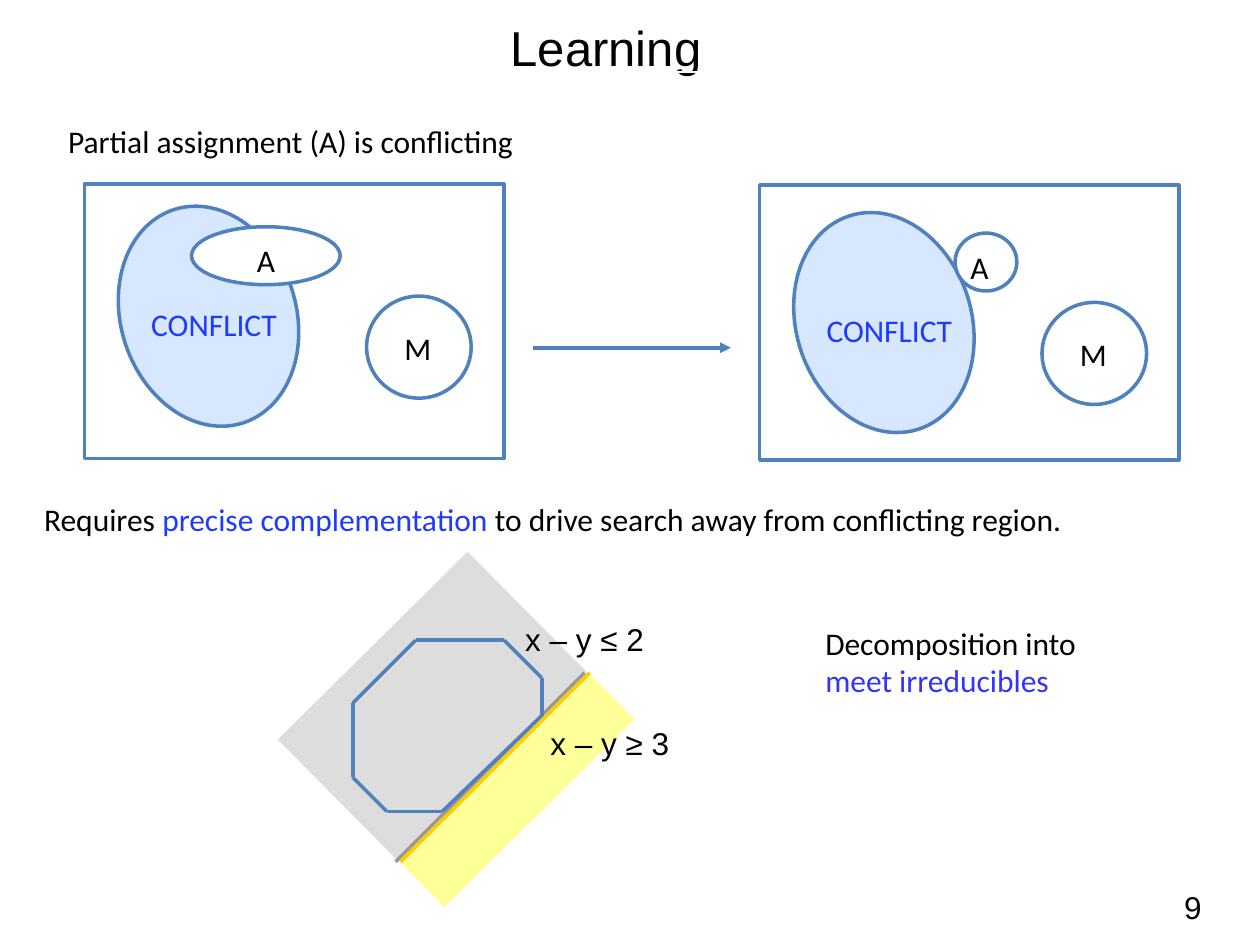
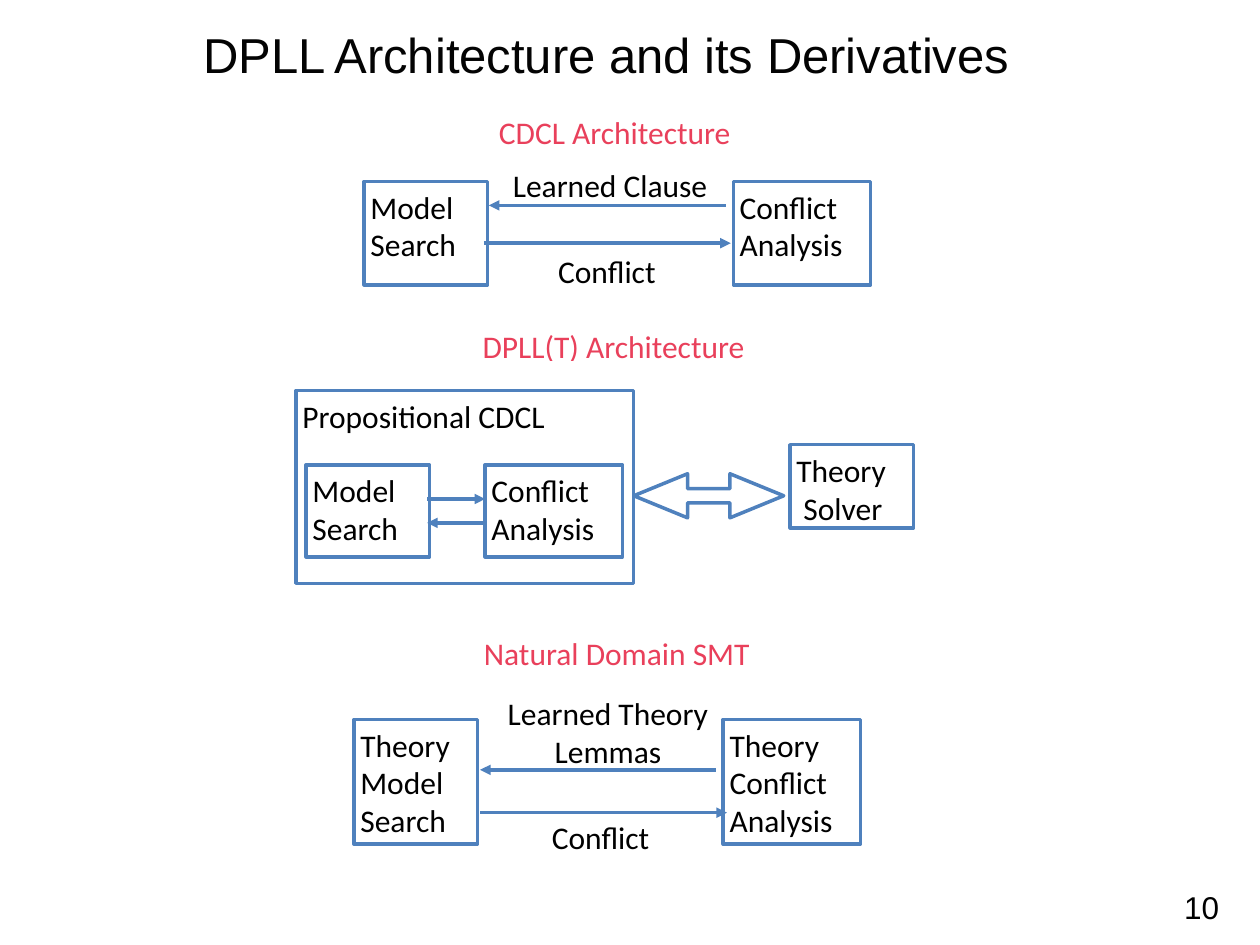
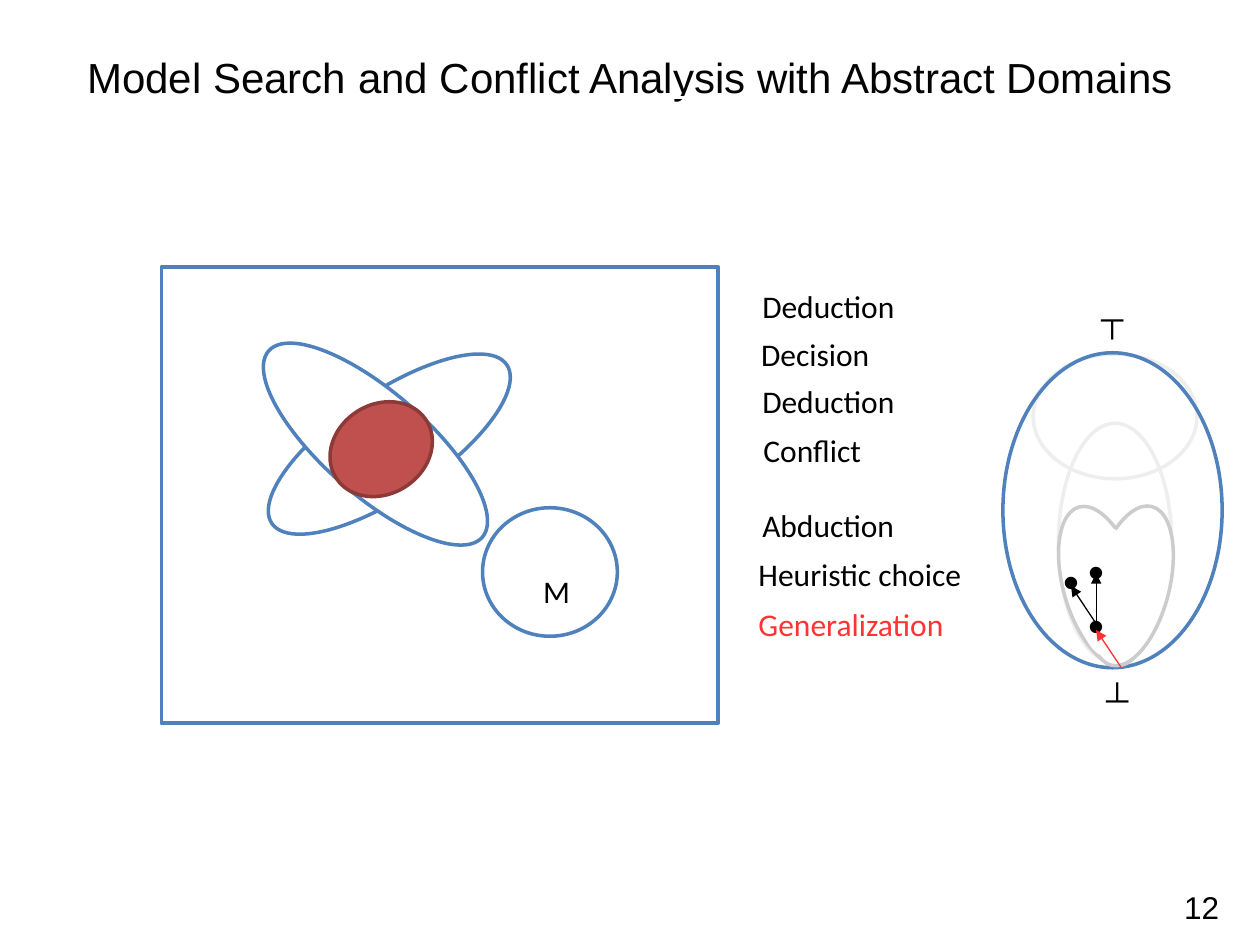
from itertools import pairwise

from lxml import etree
from pptx import Presentation
from pptx.dml.color import RGBColor
from pptx.enum.shapes import MSO_CONNECTOR as Line, MSO_SHAPE as Preset
from pptx.enum.text import MSO_ANCHOR as Anchor, MSO_AUTO_SIZE as AutoSize, PP_ALIGN as Align
from pptx.oxml.ns import qn
from pptx.util import Inches, Pt

BLUE, WHITE, BLACK = "4F81BD", "FFFFFF", "000000"
ACCENT, PALE_BLUE, ROSE, RED = "1D3AFF", "D6E7FF", "E9405B", "FF3333"
PALE_GREY, GREY = "EEEEEE", "CCCCCC"
TITLE_COLOR = "030303"
BODY_FONT, PLAIN_FONT = "Calibri", "Arial"


def rgb(color):
    return RGBColor.from_string(color)


class Deck:
    """Holds the shared style and the slide being drawn."""

    def __init__(self):
        self.deck = Presentation()
        self.deck.slide_width, self.deck.slide_height = Inches(10), Inches(7.5)
        self.page = None

    def new_page(self, title, number, left, top, size=28):
        self.page = self.deck.slides.add_slide(self.deck.slide_layouts[5])
        box = self.page.shapes.title
        box.left, box.top = Inches(left), Inches(top)
        box.width, box.height = Inches(9), Inches(0.85)
        self.fill_text(box.text_frame, [title], size=size, font=PLAIN_FONT, color=TITLE_COLOR,
                       align=Align.CENTER, anchor=Anchor.MIDDLE, underline=True)
        self.symbol(str(number), 9.3, 7, 0.5)

    def fill_text(self, frame, lines, size=18, font=BODY_FONT, color=BLACK, align=Align.LEFT,
                  anchor=Anchor.TOP, side=0.05, wrap=True, underline=False):
        """Each line is a string or a list of (text, color) spans."""
        frame.auto_size = AutoSize.NONE
        frame.word_wrap = wrap
        frame.vertical_anchor = anchor
        frame.margin_left = frame.margin_right = Inches(side)
        frame.margin_top = frame.margin_bottom = Inches(0.05)
        for index, line in enumerate(lines):
            para = frame.add_paragraph() if index else frame.paragraphs[0]
            para.alignment = align
            spans = [(line, color)] if isinstance(line, str) else line
            for text, span_color in spans:
                span = para.add_run()
                span.text = text
                span.font.size = Pt(size)
                span.font.name = font
                span.font.color.rgb = rgb(span_color)
                if underline:
                    self.underline(span)

    def underline(self, span):
        """Underline in the page colour."""
        span.font.underline = True
        properties = span.font._element
        fill = etree.Element(qn("a:uFill"))
        solid = etree.SubElement(fill, qn("a:solidFill"))
        etree.SubElement(solid, qn("a:srgbClr"), val=WHITE)
        properties.find(qn("a:latin")).addprevious(fill)

    def text(self, lines, left, top, width, height=0.4, wrap=False, **style):
        box = self.page.shapes.add_textbox(*map(Inches, (left, top, width, height)))
        self.fill_text(box.text_frame, lines, wrap=wrap, **style)

    def symbol(self, text, left, top, width, height=0.38, size=18):
        self.text([text], left, top, width, height, wrap=True, size=size,
                  font=PLAIN_FONT, side=0.1)

    def shape(self, preset, left, top, width, height, fill=WHITE, line=BLUE, rotation=0,
              lines=(), align=Align.LEFT):
        shape = self.page.shapes.add_shape(preset, *map(Inches, (left, top, width, height)))
        shape.shadow.inherit = False
        shape.rotation = rotation
        if fill:
            shape.fill.solid()
            shape.fill.fore_color.rgb = rgb(fill)
        else:
            shape.fill.background()
        if line:
            shape.line.color.rgb = rgb(line)
            shape.line.width = Pt(2)
        else:
            shape.line.fill.background()
        if lines:
            self.fill_text(shape.text_frame, lines, align=align)
        return shape

    def box(self, *place, **style):
        return self.shape(Preset.RECTANGLE, *place, **style)

    def ellipse(self, *place, **style):
        return self.shape(Preset.OVAL, *place, **style)

    def line(self, start, end, color=BLUE, width=2, arrow=False):
        line = self.page.shapes.add_connector(Line.STRAIGHT, *map(Inches, (*start, *end)))
        line.line.color.rgb = rgb(color)
        line.line.width = Pt(width)
        properties = line._element.spPr
        if arrow:
            etree.SubElement(properties.find(qn("a:ln")), qn("a:tailEnd"), type="triangle")
        etree.SubElement(properties, qn("a:effectLst"))

    def arrow(self, start, end, **style):
        self.line(start, end, arrow=True, **style)


def draw_state(deck, left, top, frame_top, a_width, a_left, a_align):
    """Conflict region, assignment A and model M inside a frame."""
    deck.ellipse(left + 0.29, top, 1.39, 1.78, fill=PALE_BLUE, rotation=342)
    deck.text(["CONFLICT"], left + 0.48, top + 0.75, 1.09, color=ACCENT)
    deck.ellipse(left + a_left, top + 0.18, a_width, 0.46, lines=["A"], align=a_align)
    deck.ellipse(left + 2.24, top + 0.73, 0.83, 0.81)
    deck.text(["M"], left + 2.49, top + 0.94, 0.31)
    deck.box(left, frame_top, 3.33, 2.18, fill=None)


def draw_learning(deck):
    deck.new_page("Learning", 9, 0.31, -0.05)

    # Half-planes and their borders
    deck.box(3.04, 6.01, 2.12, 0.52, fill="FFFF99", line=None, rotation=315.3)
    deck.box(2.37, 4.93, 2.12, 1.34, fill="DDDDDD", line=None, rotation=315.3)
    deck.line((3.14, 6.84), (4.64, 5.34), color="999999")

    # Before and after learning
    deck.text(["Partial assignment (A) is conflicting"], 0.49, 0.92, 3.7)
    draw_state(deck, 0.67, 1.62, 1.46, 1.18, 0.85, Align.CENTER)
    deck.arrow((4.23, 2.76), (5.8, 2.76))
    draw_state(deck, 6.03, 1.67, 1.47, 0.49, 1.55, Align.LEFT)
    deck.text([[("Requires ", BLACK), ("precise complementation", ACCENT),
                (" to drive search away from conflicting region.", BLACK)]],
              0.3, 3.92, 9.4, 0.7)

    # Octagon
    corners = [(2.8, 5.58), (3.3, 5.08), (4, 5.08), (4.3, 5.38),
               (4.3, 5.68), (3.51, 6.44), (3.07, 6.44), (2.8, 6.17)]
    for start, end in pairwise(corners + corners[:1]):
        deck.line(start, end)
    deck.line((3.18, 6.84), (4.68, 5.34), color="FFCC00")

    # Constraints
    deck.symbol("x – y ≤ 2", 4.07, 4.87, 1.14)
    deck.symbol("x – y ≥ 3", 4.27, 5.7, 1.14)
    deck.text(["Decomposition into", [("meet irreducibles", "3333FF")]], 6.5, 4.9, 2.3, 0.7)


def draw_architectures(deck):
    deck.new_page("DPLL Architecture and its Derivatives", 10, 0.31, 0)
    for heading, left, top, width in [("CDCL Architecture", 3.91, 0.85, 1.93),
                                      ("DPLL(T) Architecture", 3.78, 2.55, 2.17),
                                      ("Natural Domain SMT", 3.79, 4.98, 2.45)]:
        deck.text([heading], left, top, width, color=ROSE, underline=True)

    # Search and analysis boxes, the propositional pair inside its frame
    deck.box(2.35, 3.1, 2.68, 1.53, lines=["Propositional CDCL"])
    search, analysis = ["Model", "Search"], ["Conflict", "Analysis"]
    for left, top, gap, height, prefix in [(2.89, 1.44, 2.93, 0.82, []),
                                           (2.43, 3.69, 1.42, 0.73, []),
                                           (2.81, 5.71, 2.93, 0.99, ["Theory"])]:
        deck.box(left, top, 0.98, height, lines=prefix + search)
        deck.box(left + gap, top, 1.09, height, lines=prefix + analysis)

    # Theory solver
    link = deck.shape(Preset.LEFT_RIGHT_ARROW, 5.03, 3.76, 1.19, 0.35)
    link.adjustments[0], link.adjustments[1] = 0.32, 1.22
    deck.box(6.27, 3.53, 0.98, 0.66, lines=["Theory", " Solver"])

    # Exchange between the boxes
    for start, end, y in [(3.84, 5.8, 1.93), (5.76, 3.88, 1.63),
                          (3.39, 3.85, 3.96), (3.84, 3.39, 4.15),
                          (3.81, 5.77, 6.45), (5.68, 3.81, 6.11)]:
        deck.arrow((start, y), (end, y))
    deck.text(["Learned Clause"], 4.02, 1.27, 1.65)
    deck.text(["Conflict"], 4.38, 1.95, 0.87)
    deck.text(["Learned Theory", "Lemmas"], 3.98, 5.46, 1.69, 0.7, align=Align.CENTER)
    deck.text(["Conflict"], 4.33, 6.44, 0.87)


def draw_abstract_domains(deck):
    deck.new_page("Model Search and Conflict Analysis with Abstract Domains", 12,
                  0.5, 0.18, size=24)

    # Concrete space
    deck.box(1.28, 2.12, 4.42, 3.62)
    deck.ellipse(3.83, 4.03, 1.07, 1.02)
    deck.text(["M"], 4.26, 4.49, 0.31)
    deck.ellipse(2.68, 2.4, 0.82, 2.25, rotation=56)
    deck.ellipse(2.57, 2.4, 0.82, 2.25, rotation=311.1)
    deck.ellipse(2.67, 3.14, 0.71, 0.85, fill="C0504D", line="8C3A38", rotation=57.6)

    # Steps
    for step, left, top, color in [("Deduction", 6, 2.23, BLACK),
                                   ("Decision", 5.99, 2.61, BLACK),
                                   ("Deduction", 6, 2.98, BLACK),
                                   ("Conflict", 6.01, 3.37, BLACK),
                                   ("Abduction", 6, 3.97, BLACK),
                                   ("Heuristic choice", 5.97, 4.36, BLACK),
                                   ("Generalization", 5.97, 4.75, RED)]:
        deck.text([step], left, top, 1.73, color=color)

    # Lattice
    deck.ellipse(8.4, 3.36, 0.9, 1.9, fill=None, line=PALE_GREY)
    deck.ellipse(8.2, 2.81, 1.3, 0.99, fill=None, line=PALE_GREY)
    deck.symbol("┬", 8.64, 2.32, 0.37)
    deck.symbol("┴", 8.68, 5.35, 0.37)
    deck.ellipse(7.96, 2.8, 1.74, 2.5, fill=None)
    deck.ellipse(8.44, 4, 0.6, 1.3, line=GREY, rotation=344.2)
    deck.ellipse(8.68, 4, 0.6, 1.3, line=GREY, rotation=14.4)
    deck.ellipse(8.56, 4.2, 0.46, 1, line=WHITE, rotation=359.8)

    # Path up from the bottom element
    for left, top in [(8.54, 4.69), (8.34, 4.34), (8.54, 4.26)]:
        deck.symbol("•", left, top, 0.32, 0.5, size=26)
    for start, end, color in [((8.9, 5.3), (8.7, 5), RED),
                              ((8.7, 4.95), (8.5, 4.65), BLACK),
                              ((8.7, 4.95), (8.7, 4.55), BLACK)]:
        deck.arrow(start, end, color=color, width=0.75)


def main():
    deck = Deck()
    draw_learning(deck)
    draw_architectures(deck)
    draw_abstract_domains(deck)
    deck.deck.save("out.pptx")


if __name__ == "__main__":
    main()
